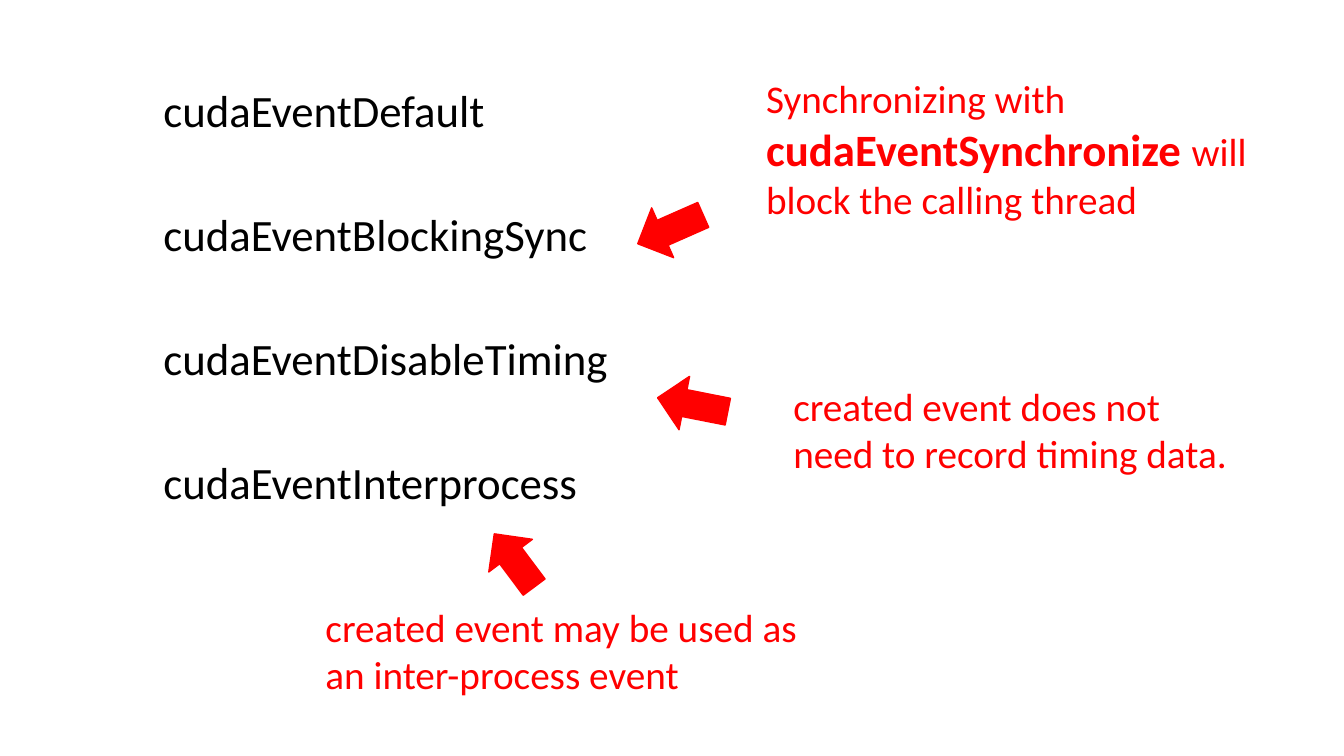
from lxml import etree
from pptx import Presentation
from pptx import util as u
from pptx.dml.color import RGBColor
from pptx.enum import shapes, text
from pptx.oxml.ns import qn

RED = RGBColor(0xFF, 0, 0)
BLACK = RGBColor(0, 0, 0)
FLAGS = ["cudaEventDefault", "cudaEventBlockingSync",
         "cudaEventDisableTiming", "cudaEventInterprocess"]
NOTES = [
    ((7.5, 0.69, 4.98, 1.58),
     [("Synchronizing with ", 28, False),
      ("cudaEventSynchronize ", 32, True),
      ("will block the calling thread", 28, False)]),
    ((7.77, 3.74, 4.6, 1.51),
     [("created event does not need to record timing data.", 28, False)]),
    ((3.13, 5.94, 5.3, 1.04),
     [("created event may be used as an inter-process event", 28, False)]),
]
ARROWS = [
    ((6.38, 1.92, 0.54, 0.71), 66.2),
    ((6.6, 3.66, 0.54, 0.71), 101.2),
    ((4.83, 5.23, 0.54, 0.66), 143.2),
]


def put(item, form):
    for key, value in form.items():
        setattr(item, key, value)


def style(font, size, color, bold=False):
    put(font, {"name": "Calibri", "size": u.Pt(size), "bold": bold})
    font.color.rgb = color


def inches(box):
    return [u.Inches(side) for side in box]


def add_list(body, box, lines):
    put(body, dict(zip(("left", "top", "width", "height"), inches(box))))
    frame = body.text_frame
    put(frame, {"text": "\n".join(lines), "word_wrap": True,
                "auto_size": text.MSO_AUTO_SIZE.NONE,
                "vertical_anchor": text.MSO_ANCHOR.TOP})
    for i, para in enumerate(frame.paragraphs):
        props = para._p.get_or_add_pPr()
        props.set("marL", "0")
        props.set("indent", "0")
        etree.SubElement(props, qn("a:buNone"))
        put(para, {"line_spacing": 0.9, "space_before": u.Pt(54 if i else 0)})
        style(para.runs[0].font, 32, BLACK)


def add_note(slide, box, parts):
    frame = slide.shapes.add_textbox(*inches(box)).text_frame
    frame.word_wrap = True
    para = frame.paragraphs[0]
    for words, size, bold in parts:
        run = para.add_run()
        run.text = words
        style(run.font, size, RED, bold)


def add_arrow(slide, box, turn):
    arrow = slide.shapes.add_shape(shapes.MSO_SHAPE.DOWN_ARROW, *inches(box))
    arrow.rotation = turn
    arrow.shadow.inherit = False
    arrow.fill.solid()
    arrow.fill.fore_color.rgb = RED
    arrow.line.color.rgb = RED
    arrow.line.width = u.Pt(1)


def main():
    deck = Presentation()
    put(deck, {"slide_width": u.Inches(13.33), "slide_height": u.Inches(7.5)})
    slide = deck.slides.add_slide(deck.slide_layouts[1])
    title = slide.shapes.title._element
    title.getparent().remove(title)
    add_list(slide.placeholders[1], (1.52, 0.83, 11.5, 4.34), FLAGS)
    for box, parts in NOTES:
        add_note(slide, box, parts)
    for box, turn in ARROWS:
        add_arrow(slide, box, turn)
    deck.save("out.pptx")


if __name__ == "__main__":
    main()
